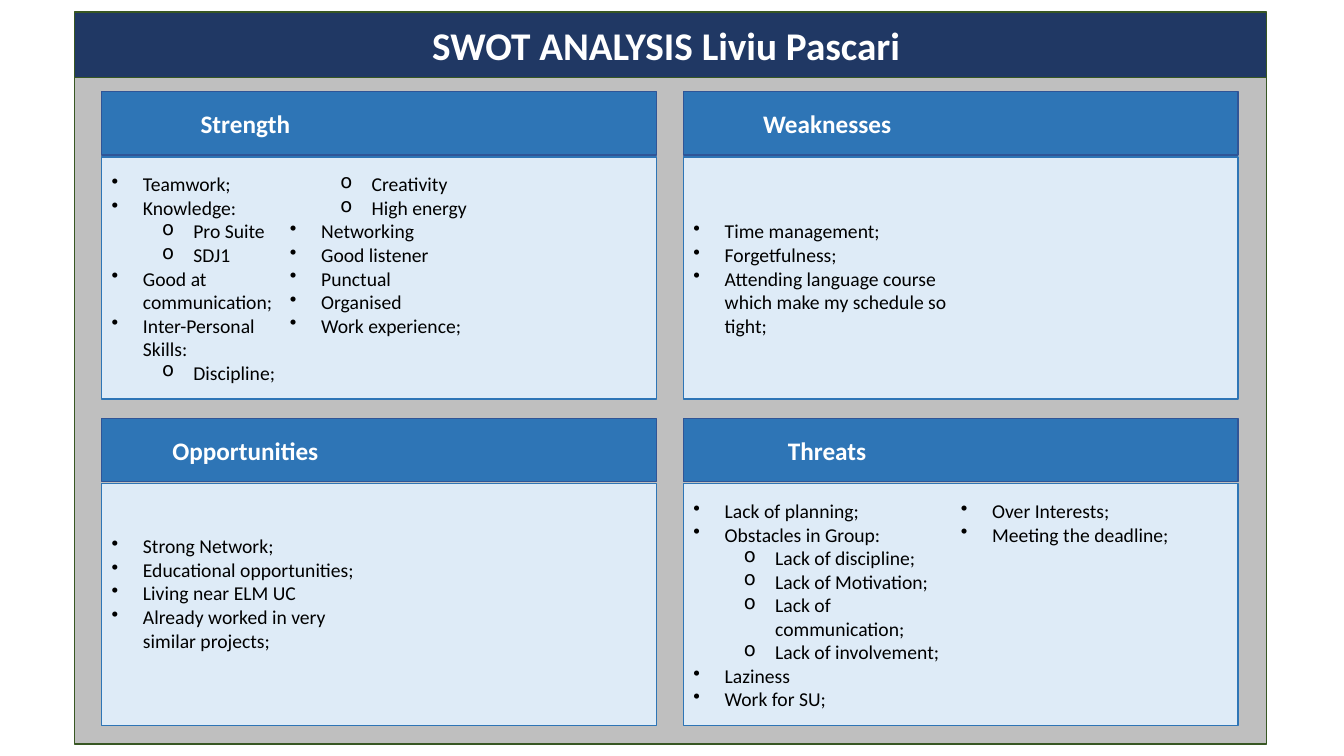
from lxml import etree
from pptx import Presentation
from pptx.dml.color import RGBColor
from pptx.enum.shapes import MSO_SHAPE
from pptx.enum.text import MSO_ANCHOR, PP_ALIGN
from pptx.oxml.ns import qn
from pptx.util import Inches, Pt

RECTANGLE = MSO_SHAPE.RECTANGLE
MIDDLE = MSO_ANCHOR.MIDDLE
LEFT, CENTER = PP_ALIGN.LEFT, PP_ALIGN.CENTER

# Content: heading, text columns, extra bottom inset, bullets as (level, text)
TITLE = "SWOT ANALYSIS Liviu Pascari "
QUADRANTS = [
    ("Strength", 3, 0, [
        (0, "Teamwork;"), (0, "Knowledge:"), (1, "Pro Suite"), (1, "SDJ1"),
        (0, "Good at communication;"), (0, "Inter-Personal Skills:"),
        (1, "Discipline;"), (1, "Creativity"), (1, "High energy"),
        (0, "Networking"), (0, "Good listener"), (0, "Punctual"),
        (0, "Organised"), (0, "Work experience;")]),
    ("Weaknesses", 2, 0, [
        (0, "Time management;"), (0, "Forgetfulness;"),
        (0, "Attending language course which make my schedule so tight;")]),
    ("Opportunities", 2, 0.23, [
        (0, "Strong Network;"), (0, "Educational opportunities;"),
        (0, "Living near ELM UC"),
        (0, "Already worked in very similar projects;")]),
    ("Threats", 2, 0, [
        (0, "Lack of planning;"), (0, "Obstacles in Group:"),
        (1, "Lack of discipline;"), (1, "Lack of Motivation;"),
        (1, "Lack of communication;"), (1, "Lack of involvement;"),
        (0, "Laziness"), (0, "Work for SU;"), (0, "Over Interests;"),
        (0, "Meeting the deadline;")]),
]
BULLETS = ["•", "o"]

# Layout in inches
FRAME_LEFT, FRAME_WIDTH = 0.74, 11.82
GRID_LEFT, GRID_TOP = 1.01, 0.91
COLUMN_PITCH, ROW_PITCH = 5.77, 3.24
PANEL_WIDTH, HEADING_HEIGHT, BODY_HEIGHT, BODY_OFFSET = 5.5, 0.63, 2.4, 0.65
HANGING, LEVEL_STEP = 0.31, 0.5


def color(hex_string):
    return RGBColor.from_string(hex_string)


def add_box(left, top, width, height, fill, line, columns=1):
    box = slide.shapes.add_shape(RECTANGLE, Inches(left), Inches(top),
                                 Inches(width), Inches(height))
    box.shadow.inherit = False
    box.fill.solid()
    box.fill.fore_color.rgb = color(fill)
    box.line.color.rgb = color(line)
    box.line.width = Pt(1)
    frame = box.text_frame
    frame.word_wrap = True
    frame.vertical_anchor = MIDDLE
    if columns > 1:
        frame._txBody.bodyPr.set("numCol", str(columns))
    return frame


def write(para, text, size, hex_string, align=CENTER, bold=True):
    para.text = text
    para.alignment = align
    para.font.name = "Calibri"
    para.font.size = Pt(size)
    para.font.bold = bold
    para.font.color.rgb = color(hex_string)


def add_bullet(para, level):
    para.level = level
    properties = para._p.get_or_add_pPr()
    properties.set("marL", str(Inches(HANGING + level * LEVEL_STEP)))
    properties.set("indent", str(-Inches(HANGING)))
    bullet = etree.Element(qn("a:buChar"), char=BULLETS[level])
    properties.find(qn("a:defRPr")).addprevious(bullet)


deck = Presentation()
deck.slide_width, deck.slide_height = Inches(13.33), Inches(7.5)
slide = deck.slides.add_slide(deck.slide_layouts[6])

# Backdrop and title bar
add_box(FRAME_LEFT, 0.76, FRAME_WIDTH, 6.62, "BFBFBF", "385723")
title = add_box(FRAME_LEFT, 0.12, FRAME_WIDTH, 0.65, "203864", "385723")
write(title.paragraphs[0], TITLE, 28, "FFFFFF")

# Quadrants, two per row
for index, (name, columns, bottom_inset, items) in enumerate(QUADRANTS):
    row, column = divmod(index, 2)
    left = GRID_LEFT + column * COLUMN_PITCH
    top = GRID_TOP + row * ROW_PITCH
    heading = add_box(left, top, PANEL_WIDTH, HEADING_HEIGHT,
                      "2E75B6", "2F5597", 2)
    write(heading.paragraphs[0], name, 18, "FFFFFF")

    body = add_box(left, top + BODY_OFFSET, PANEL_WIDTH, BODY_HEIGHT,
                   "DEEBF7", "2E75B6", columns)
    body.margin_bottom = Inches(0.05 + bottom_inset)
    for number, (level, text) in enumerate(items):
        para = body.add_paragraph() if number else body.paragraphs[0]
        write(para, text, 14, "000000", LEFT, False)
        add_bullet(para, level)

deck.save("out.pptx")
